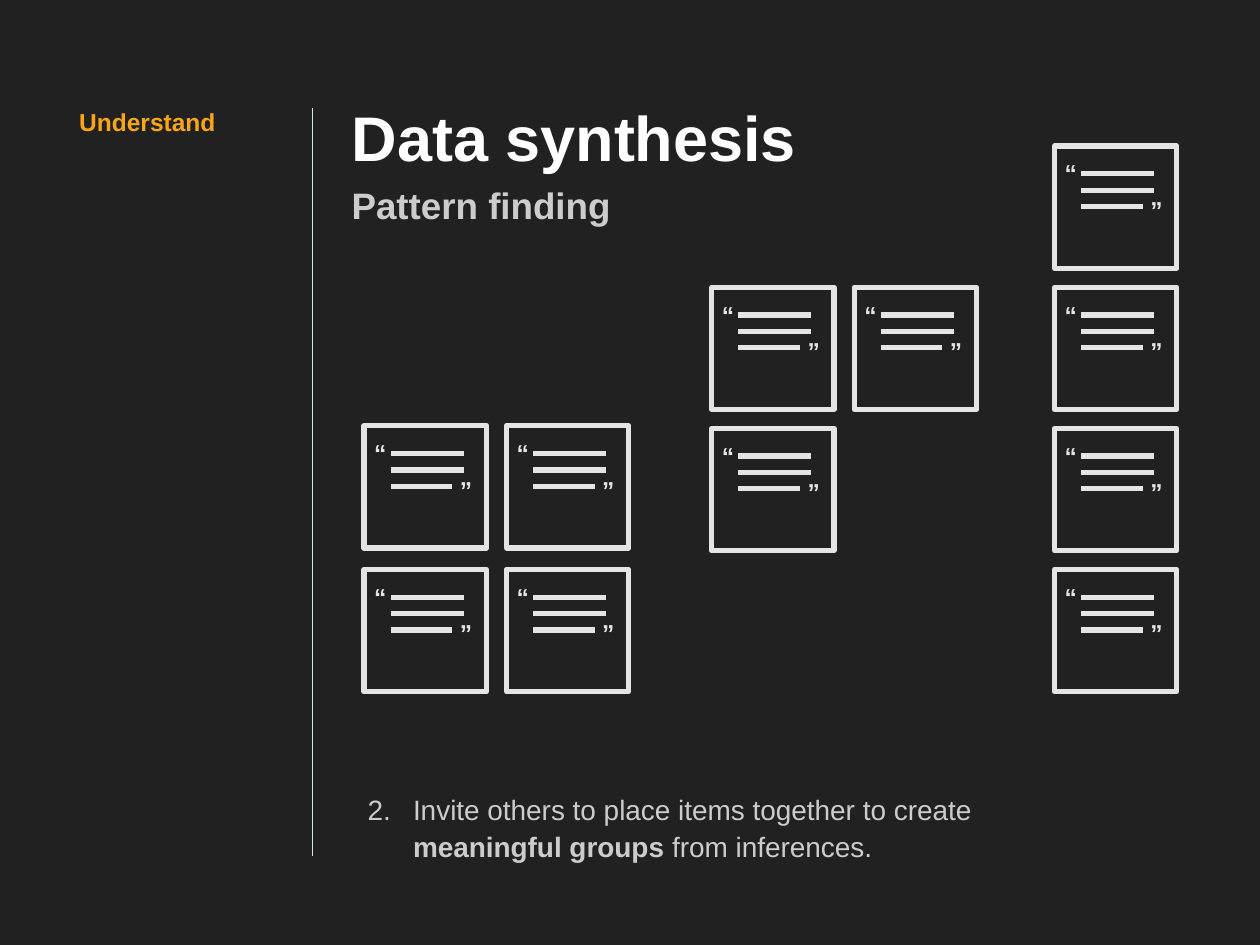
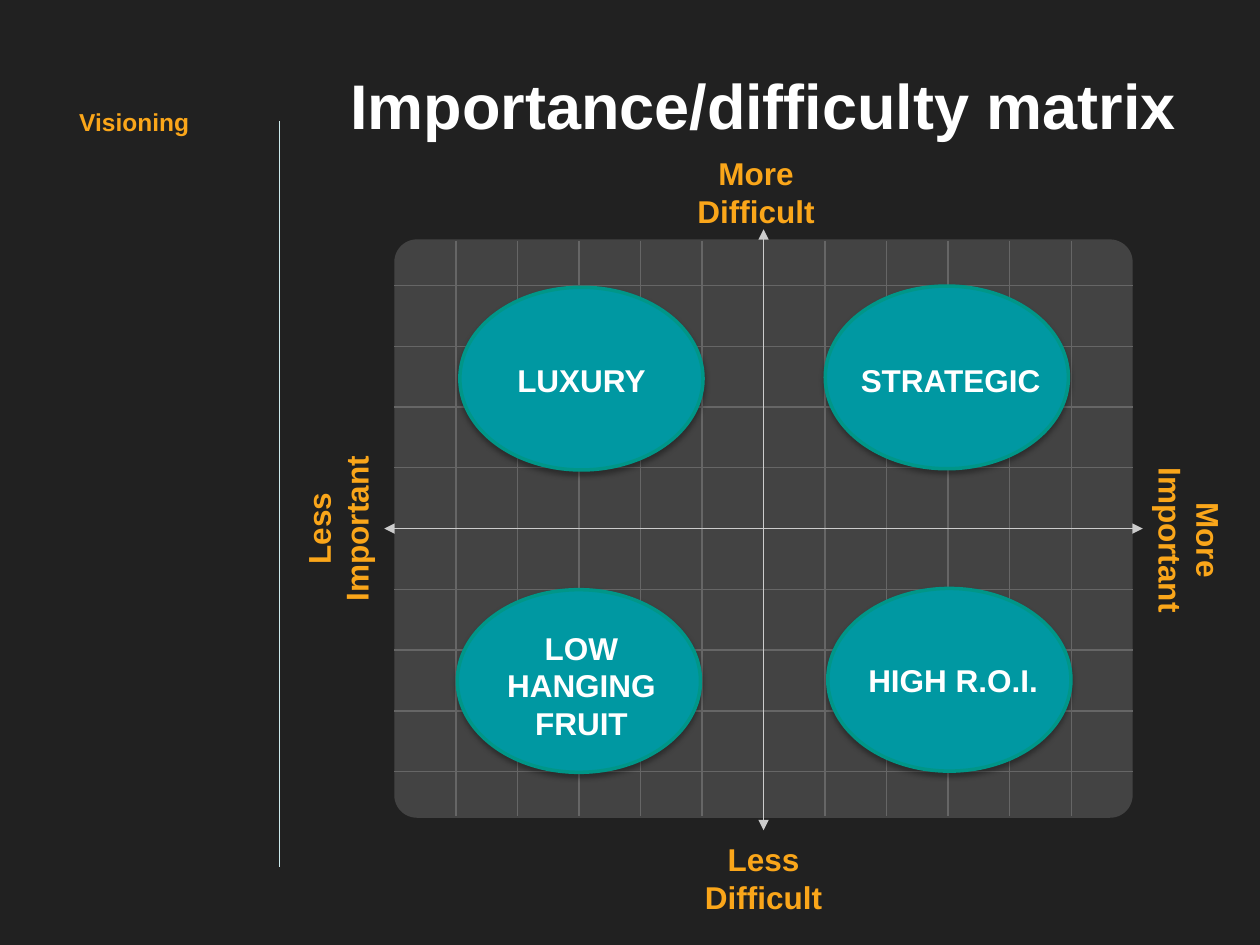
"""Build two dark workshop slides: pattern finding and a priority matrix."""
from lxml import etree
from pptx import Presentation
from pptx.dml.color import RGBColor
from pptx.enum import shapes, text
from pptx.oxml.ns import qn
from pptx.util import Inches, Pt

FONT = "Arial"
DARK, PANEL, GRID = "212121", "434343", "666666"
WHITE, GREY, CARD = "FFFFFF", "CCCCCC", "E4E4E4"
ORANGE, TEAL, TEAL_EDGE, RULE = "FAA61A", "0098A2", "009688", "CCEAEC"


def rgb(value):
    """Turn a hex string into a colour."""
    return RGBColor.from_string(value)


def add_xml(parent, tag, **attrs):
    """Append a DrawingML element with the given attributes."""
    el = etree.SubElement(parent, qn(tag))
    for name, value in attrs.items():
        el.set(name, str(value))
    return el


def add_run(p, words, size, color, bold=True):
    """Add one formatted run to a paragraph."""
    r = p.add_run()
    r.text = words
    r.font.name, r.font.size, r.font.bold = FONT, Pt(size), bold
    r.font.color.rgb = rgb(color)


def format_frame(tf, inset, anchor=text.MSO_ANCHOR.TOP):
    """Set wrapping, anchor and equal insets of a text frame."""
    tf.word_wrap = True
    tf.auto_size = text.MSO_AUTO_SIZE.NONE
    tf.vertical_anchor = anchor
    tf.margin_left = tf.margin_right = Inches(inset)
    tf.margin_top = tf.margin_bottom = Inches(inset)


def add_label(parent, box, words, size, color, inset=0.1,
              align=text.PP_ALIGN.CENTER, anchor=text.MSO_ANCHOR.TOP, rotation=0):
    """Add a bold one-run text box."""
    sp = parent.add_textbox(*map(Inches, box))
    sp.rotation = rotation
    format_frame(sp.text_frame, inset, anchor)
    p = sp.text_frame.paragraphs[0]
    p.alignment = align
    add_run(p, words, size, color)


def add_line(parent, x1, y1, x2, y2, color, width=0.75, arrows=False):
    """Add a straight line, with arrowheads at both ends if asked."""
    c = parent.add_connector(shapes.MSO_CONNECTOR.STRAIGHT,
                             *map(Inches, (x1, y1, x2, y2)))
    c.line.color.rgb = rgb(color)
    c.line.width = Pt(width)
    if arrows:
        ln = c.line._get_or_add_ln()
        add_xml(ln, "a:headEnd", type="triangle")
        add_xml(ln, "a:tailEnd", type="triangle")
    add_xml(c._element.spPr, "a:effectLst")


def add_preset(parent, kind, box, fill=None, line=None, width=0):
    """Add a preset shape with optional fill and outline."""
    sp = parent.add_shape(kind, *map(Inches, box))
    sp.shadow.inherit = False
    if fill:
        sp.fill.solid()
        sp.fill.fore_color.rgb = rgb(fill)
    else:
        sp.fill.background()
    if line:
        sp.line.color.rgb = rgb(line)
        sp.line.width = Pt(width)
    else:
        sp.line.fill.background()
    return sp


def add_slide(prs, section, title, title_box, rule, subtitle=None):
    """Add a slide with its section label, title and vertical rule."""
    s = prs.slides.add_slide(prs.slide_layouts[5])
    x, top, bottom = rule
    add_line(s.shapes, x, top, x, bottom, RULE)
    sp = s.shapes.title
    sp.left, sp.top, sp.width, sp.height = map(Inches, title_box)
    tf = sp.text_frame
    format_frame(tf, 0.1)
    p = tf.paragraphs[0]
    p.alignment = text.PP_ALIGN.LEFT
    add_run(p, title, 36, WHITE)
    if subtitle:
        p = tf.add_paragraph()
        p.alignment = text.PP_ALIGN.LEFT
        p.line_spacing = 1.2
        add_run(p, subtitle, 21, GREY)
    add_label(s.shapes, (0.53, 0.75, 1.79, 0.44), section, 14, ORANGE,
              align=text.PP_ALIGN.LEFT)
    return s


def add_quote_card(s, x, y):
    """Add a grouped square card holding a quotation of three lines."""
    card = s.shapes.add_group_shape().shapes
    add_preset(card, shapes.MSO_SHAPE.RECTANGLE, (x, y, 0.97, 0.97), line=CARD, width=3)
    for mark, dx, dy in (("“", 0.02, 0.05), ("”", 0.7, 0.34)):
        add_label(card, (x + dx, y + dy, 0.2, 0.33), mark, 14, CARD, 0.06,
                  text.PP_ALIGN.LEFT, text.MSO_ANCHOR.MIDDLE)
    for dy, end in ((0.22, 0.79), (0.35, 0.79), (0.48, 0.7)):
        add_line(card, x + 0.21, y + dy, x + end, y + dy, CARD, 3)


def add_step(s, box, number, parts):
    """Add a numbered step made of (words, bold) parts."""
    sp = s.shapes.add_textbox(*map(Inches, box))
    tf = sp.text_frame
    format_frame(tf, 0.1, text.MSO_ANCHOR.BOTTOM)
    p = tf.paragraphs[0]
    pPr = p._p.get_or_add_pPr()
    pPr.set("marL", str(Inches(0.5)))
    pPr.set("indent", str(-Inches(0.36)))
    add_xml(add_xml(pPr, "a:buClr"), "a:srgbClr", val=GREY)
    add_xml(pPr, "a:buFont", typeface=FONT)
    add_xml(pPr, "a:buAutoNum", type="arabicPeriod", startAt=number)
    p.line_spacing = 1.1
    for i, (words, bold) in enumerate(parts):
        if i and parts[i - 1][0].endswith(" create "):
            p.add_line_break()
        add_run(p, words, 16, GREY, bold)


def add_oval(s, x, y):
    """Add a teal oval with a soft shadow below it."""
    sp = add_preset(s.shapes, shapes.MSO_SHAPE.OVAL, (x, y, 1.93, 1.45),
                    TEAL, TEAL_EDGE, 2)
    effects = sp._element.spPr.find(qn("a:effectLst"))
    shadow = add_xml(effects, "a:outerShdw", blurRad=Pt(3), dist=Pt(1.8),
                     dir=5400000, rotWithShape=0)
    add_xml(add_xml(shadow, "a:srgbClr", val="000000"), "a:alpha", val=35000)


def add_grid(s, x, y, w, h):
    """Add the rounded panel, its grid lines and the two arrow axes."""
    panel = add_preset(s.shapes, shapes.MSO_SHAPE.ROUNDED_RECTANGLE, (x, y, w, h), PANEL)
    panel.adjustments[0] = 0.039
    mid_x, mid_y = x + w / 2, y + h / 2
    lines = s.shapes.add_group_shape().shapes
    for i in range(-5, 6):
        if i:
            gx = mid_x + i * w / 12
            add_line(lines, gx, y + 0.01, gx, y + h - 0.01, GRID)
    for i in range(-4, 5):
        if i:
            gy = mid_y + i * 0.4825
            add_line(lines, x, gy, x + w, gy, GRID)
    add_line(s.shapes, x - 0.08, mid_y, x + w + 0.08, mid_y, GREY, arrows=True)
    add_line(s.shapes, mid_x, y - 0.08, mid_x, y + h + 0.1, GREY, arrows=True)


def build_patterns(prs):
    """Build the slide with clusters of quote cards."""
    s = add_slide(prs, "Understand", "Data synthesis", (2.69, 0.68, 6.91, 2.16),
                  (2.48, 0.86, 6.79), "Pattern finding")
    clusters = (
        (2.89, 3.38, 1.14, ((0, 0), (1, 0), (0, 1), (1, 1))),
        (5.65, 2.28, 1.12, ((0, 0), (1, 0), (0, 1))),
        (8.37, 1.16, 1.12, ((0, 0), (0, 1), (0, 2), (0, 3))),
    )
    for left, top, pitch, cells in clusters:
        for col, row in cells:
            add_quote_card(s, left + col * 1.13, top + row * pitch)
    add_step(s, (2.68, 5.1, 6.97, 1.85), 2, (
        ("Invite others to place items together to create ", False),
        ("meaningful groups", True),
        (" from inferences.", False)))


def build_matrix(prs):
    """Build the slide with the two-axis matrix."""
    s = add_slide(prs, "Visioning", "Importance/difficulty matrix",
                  (2.68, 0.43, 6.97, 0.83), (2.22, 0.96, 6.88))
    add_grid(s, 3.13, 1.9, 5.86, 4.59)
    for words, x, y, rotation in (("More Difficult", 5.14, 1.12, 0),
                                  ("Less Difficult", 5.2, 6.57, 0),
                                  ("More Important", 8.58, 3.88, 90),
                                  ("Less Important", 1.82, 3.79, 270)):
        add_label(s.shapes, (x, y, 1.72, 0.81), words, 18, ORANGE, rotation=rotation)
    for words, oval, label in (
            ("STRATEGIC", (6.55, 2.27), (6.76, 2.82, 1.57, 0.4)),
            ("LUXURY", (3.65, 2.28), (3.83, 2.82, 1.57, 0.4)),
            ("LOW HANGING FRUIT", (3.63, 4.68), (3.83, 4.94, 1.57, 1.01)),
            ("HIGH R.O.I.", (6.57, 4.67), (6.78, 5.2, 1.57, 0.4))):
        add_oval(s, *oval)
        add_label(s.shapes, label, words, 18, WHITE, 0.05)


def main():
    """Create the presentation and save it."""
    prs = Presentation()
    prs.slide_width, prs.slide_height = Inches(10), Inches(7.5)
    fill = prs.slide_master.background.fill
    fill.solid()
    fill.fore_color.rgb = rgb(DARK)
    build_patterns(prs)
    build_matrix(prs)
    prs.save("out.pptx")


if __name__ == "__main__":
    main()
